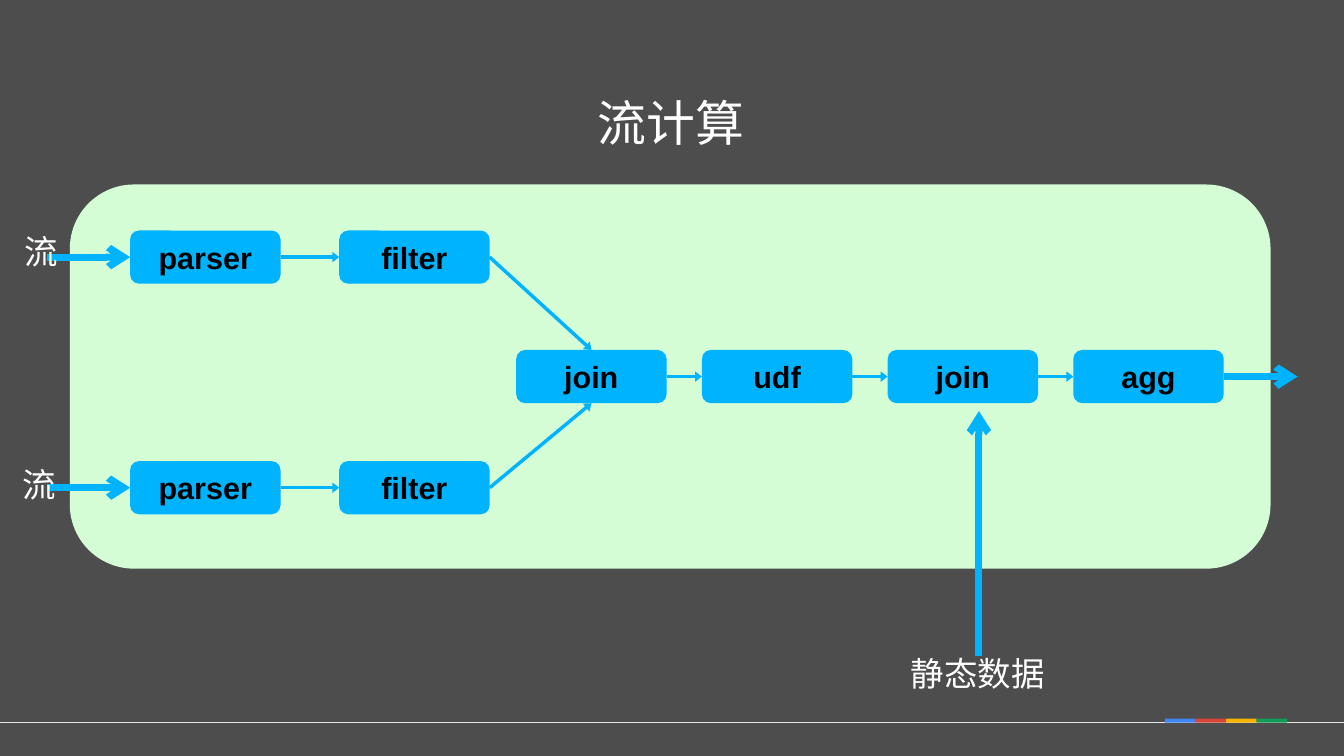
"""Build the stream computing slide with its operator pipeline."""
from dataclasses import dataclass

from lxml import etree
from pptx import Presentation
from pptx.dml.color import RGBColor
from pptx.enum.shapes import MSO_CONNECTOR, MSO_SHAPE
from pptx.enum.text import MSO_ANCHOR, PP_ALIGN
from pptx.oxml.ns import qn
from pptx.shapes.autoshape import Shape
from pptx.shapes.connector import Connector
from pptx.slide import Slide
from pptx.util import Cm, Pt

RECT = MSO_SHAPE.RECTANGLE
ROUNDED = MSO_SHAPE.ROUNDED_RECTANGLE
STRAIGHT = MSO_CONNECTOR.STRAIGHT
MIDDLE = MSO_ANCHOR.MIDDLE
CENTER = PP_ALIGN.CENTER

COLORS = {
    "background": "4D4D4D",
    "panel": "D4FDD5",
    "step": "00B3FF",
    "step_text": "000000",
    "label": "FFFFFF",
    "rule": "E6E6E6",
}
STRIPE_COLORS = ["4285F4", "D84437", "F4B400", "0F9D58"]
LATIN, CJK = "Arial", "Noto Sans CJK JP"

SLIDE_W, SLIDE_H = 33.87, 19.05
STEP_W, STEP_H = 3.79, 1.34
CORNER = 0.167
PARSER_X, FILTER_X = 3.28, 8.55
CHAIN_X, CHAIN_PITCH = 13.01, 4.68
UPPER_Y, CHAIN_Y, LOWER_Y = 5.81, 8.82, 11.62
STRIPE_X, STRIPE_W = 29.36, 0.77
TOP, LEFT, BOTTOM, RIGHT = range(4)


@dataclass
class Step:
    text: str
    x: float
    y: float


@dataclass
class Link:
    source: int
    target: int
    side: int = LEFT


@dataclass
class Flow:
    x1: float
    y1: float
    x2: float
    y2: float


@dataclass
class Label:
    text: str
    x: float
    y: float
    w: float
    h: float = 1.04
    size: float = 23.9


STEPS = [
    Step(text, x, y)
    for y in (UPPER_Y, LOWER_Y)
    for text, x in (("parser", PARSER_X), ("filter", FILTER_X))
] + [
    Step(text, CHAIN_X + i * CHAIN_PITCH, CHAIN_Y)
    for i, text in enumerate(("join", "udf", "join", "agg"))
]
LINKS = [
    Link(0, 1), Link(2, 3), Link(1, 4, TOP), Link(3, 4, BOTTOM),
    Link(4, 5), Link(5, 6), Link(6, 7),
]
FLOWS = [
    Flow(1.19, y + STEP_H / 2, PARSER_X, y + STEP_H / 2)
    for y in (UPPER_Y, LOWER_Y)
] + [
    Flow(CHAIN_X + 3 * CHAIN_PITCH + STEP_W, CHAIN_Y + STEP_H / 2,
         32.7, CHAIN_Y + STEP_H / 2),
    Flow(24.67, 16.54, 24.67, 10.36),
]
LABELS = [
    Label("流计算", 14.91, 2.31, 4, 1.55, 34.9),
    Label("流", 0.53, 5.82, 1),
    Label("流", 0.5, 11.69, 1),
    Label("静态数据", 22.84, 16.44, 3.6),
]


def rgb(value: str) -> RGBColor:
    return RGBColor.from_string(value)


def add_block(s: Slide, kind: MSO_SHAPE, x: float, y: float,
              w: float, h: float, color: str) -> Shape:
    sp = s.shapes.add_shape(kind, Cm(x), Cm(y), Cm(w), Cm(h))
    sp.shadow.inherit = False
    sp.fill.solid()
    sp.fill.fore_color.rgb = rgb(color)
    sp.line.fill.background()
    if kind == ROUNDED:
        sp.adjustments[0] = CORNER
    return sp


def write(sp: Shape, text: str, size: float, font: str,
          color: str, bold: bool = False) -> None:
    tf = sp.text_frame
    tf.word_wrap = True
    tf.vertical_anchor = MIDDLE
    tf.margin_left = tf.margin_right = tf.margin_top = tf.margin_bottom = 0
    p = tf.paragraphs[0]
    p.alignment = CENTER
    r = p.add_run()
    r.text = text
    r.font.size = Pt(size)
    r.font.name = font
    r.font.bold = bold
    r.font.color.rgb = rgb(color)
    etree.SubElement(r.font._element, qn("a:ea"), typeface=font)


def add_step(s: Slide, step: Step) -> Shape:
    sp = add_block(s, ROUNDED, step.x, step.y, STEP_W, STEP_H, COLORS["step"])
    write(sp, step.text, 21.8, LATIN, COLORS["step_text"], bold=True)
    return sp


def add_line(s: Slide, flow: Flow, color: str, width: float) -> Connector:
    line = s.shapes.add_connector(
        STRAIGHT, Cm(flow.x1), Cm(flow.y1), Cm(flow.x2), Cm(flow.y2))
    line.line.color.rgb = rgb(color)
    line.line.width = Pt(width)
    etree.SubElement(line._element.spPr, qn("a:effectLst"))
    return line


def add_head(line: Connector, kind: str, length: str) -> None:
    ln = line.line._get_or_add_ln()
    etree.SubElement(ln, qn("a:tailEnd"), type=kind, w="med", len=length)


def add_link(s: Slide, link: Link, steps: list[Shape]) -> None:
    line = add_line(s, Flow(0, 0, 0, 0), COLORS["step"], 2.47)
    line.begin_connect(steps[link.source], RIGHT)
    line.end_connect(steps[link.target], link.side)
    add_head(line, "triangle", "sm")


def add_flow(s: Slide, flow: Flow) -> None:
    add_head(add_line(s, flow, COLORS["step"], 4.95), "arrow", "med")


def add_label(s: Slide, label: Label) -> None:
    sp = s.shapes.add_textbox(
        Cm(label.x), Cm(label.y), Cm(label.w), Cm(label.h))
    write(sp, label.text, label.size, CJK, COLORS["label"])


def add_footer(s: Slide) -> None:
    add_line(s, Flow(0, 18.2, SLIDE_W, 18.2), COLORS["rule"], 0.75)
    for i, color in enumerate(STRIPE_COLORS):
        add_block(s, RECT, STRIPE_X + i * STRIPE_W, 18.11,
                  STRIPE_W, 0.1, color)


def main() -> None:
    prs = Presentation()
    prs.slide_width, prs.slide_height = Cm(SLIDE_W), Cm(SLIDE_H)
    s = prs.slides.add_slide(prs.slide_layouts[6])
    s.background.fill.solid()
    s.background.fill.fore_color.rgb = rgb(COLORS["background"])
    add_footer(s)
    add_block(s, ROUNDED, 1.76, 4.65, 30.26, 9.68, COLORS["panel"])
    steps = [add_step(s, step) for step in STEPS]
    for link in LINKS:
        add_link(s, link, steps)
    for flow in FLOWS:
        add_flow(s, flow)
    for label in LABELS:
        add_label(s, label)
    prs.save("out.pptx")


if __name__ == "__main__":
    main()
